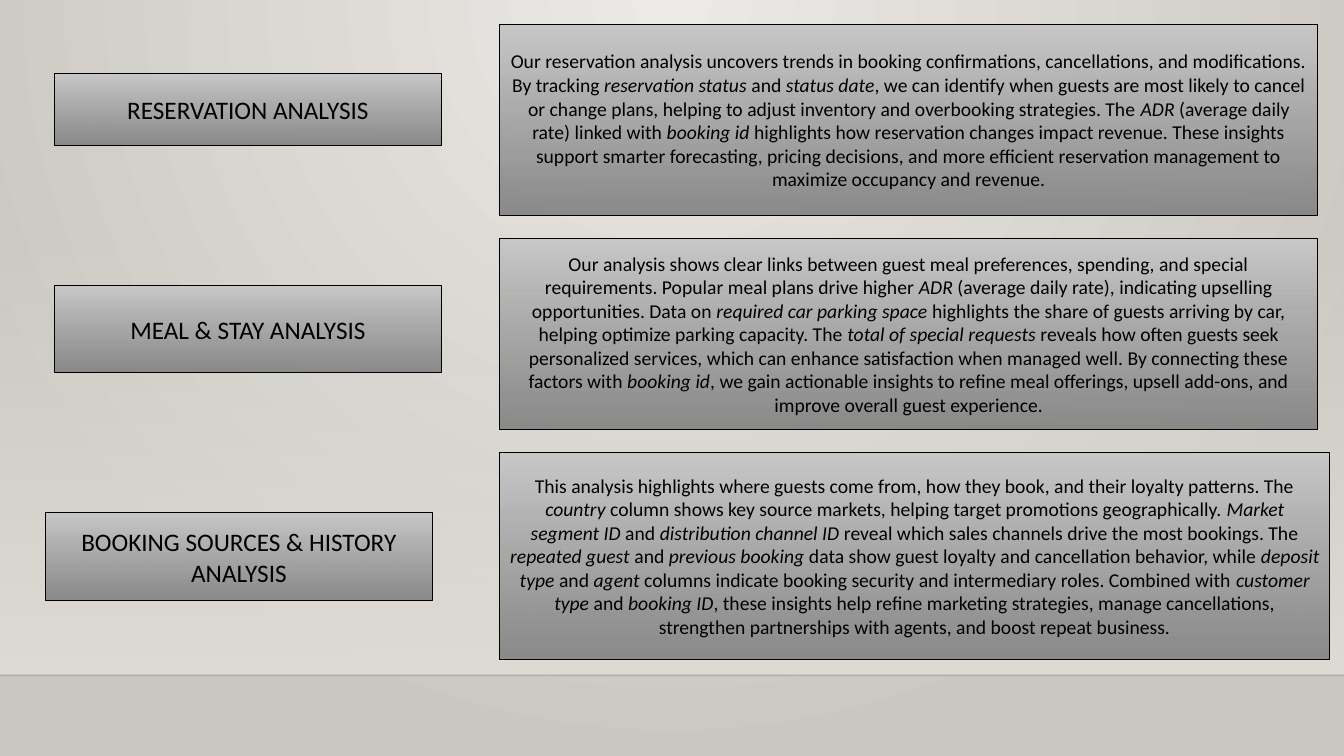
from dataclasses import dataclass

from lxml import etree
from pptx import Presentation
from pptx import util as u
from pptx.dml.color import RGBColor
from pptx.enum import shapes, text
from pptx.oxml.ns import qn


@dataclass(frozen=True)
class Theme:
    font: str = "Calibri"
    label: int = 18
    body: int = 14
    ink: str = "000000"
    edge: float = 0.75
    # Each stop is a colour and its opacity in percent
    card: tuple = (("C8C8C8", 100), ("848484", 92))
    wall: tuple = (("DFDBD5", 0), ("DFDBD5", 100))
    back: tuple = (("ECEAE7", 100), ("CAC7C1", 100))
    floor: tuple = ("000001", 20)


T = Theme()
W, H = u.Inches(13.33), u.Inches(7.5)

# Percent of the slide's width or height
FLOOR = 89.33
TOP, GAP = 3.2, 3.0
LEFT, SPLIT = 4.05, 37.2
LABEL = 28.8

# Title, its left, drop and height; body width and height; body text (*italic*)
ROWS = [
    ("RESERVATION ANALYSIS", LEFT, 6.53, 9.47, 60.84, 25.33,
     "Our reservation analysis uncovers trends in booking confirmations, "
     "cancellations, and modifications. By tracking *reservation status* and "
     "*status date*, we can identify when guests are most likely to cancel or "
     "change plans, helping to adjust inventory and overbooking strategies. The "
     "*ADR* (average daily rate) linked with *booking id* highlights how "
     "reservation changes impact revenue. These insights support smarter "
     "forecasting, pricing decisions, and more efficient reservation management "
     "to maximize occupancy and revenue."),
    ("MEAL & STAY ANALYSIS", LEFT, 6.2, 11.6, 60.84, 25.33,
     "Our analysis shows clear links between guest meal preferences, spending, "
     "and special requirements. Popular meal plans drive higher *ADR* (average "
     "daily rate), indicating upselling opportunities. Data on *required car "
     "parking space* highlights the share of guests arriving by car, helping "
     "optimize parking capacity. The *total of special requests* reveals how "
     "often guests seek personalized services, which can enhance satisfaction "
     "when managed well. By connecting these factors with *booking id*, we gain "
     "actionable insights to refine meal offerings, upsell add-ons, and improve "
     "overall guest experience."),
    ("BOOKING SOURCES & HISTORY ANALYSIS", 3.38, 8.0, 11.6, 61.74, 27.33,
     "This analysis highlights where guests come from, how they book, and their "
     "loyalty patterns. The *country* column shows key source markets, helping "
     "target promotions geographically. *Market segment ID* and *distribution "
     "channel ID* reveal which sales channels drive the most bookings. The "
     "*repeated guest* and *previous booking* data show guest loyalty and "
     "cancellation behavior, while *deposit type* and *agent* columns indicate "
     "booking security and intermediary roles. Combined with *customer type* and "
     "*booking ID*, these insights help refine marketing strategies, manage "
     "cancellations, strengthen partnerships with agents, and boost repeat "
     "business."),
]


def place(x, y, w, h):
    return [round(v * side / 100) for v, side in zip((x, y, w, h), (W, H, W, H))]


def fade(node, alpha):
    """Set the opacity of a colour element."""
    if alpha < 100:
        etree.SubElement(node, qn("a:alpha"), val=str(alpha * 1000))


def blend(fill, root, stops):
    """Fill with a gradient from top to bottom."""
    fill.gradient()
    fill.gradient_angle = 270
    for stop, (tint, _) in zip(fill.gradient_stops, stops):
        stop.color.rgb = RGBColor.from_string(tint)
    grad = next(root.iter(qn("a:gradFill")))
    for node, (_, alpha) in zip(grad.iter(qn("a:srgbClr")), stops):
        fade(node, alpha)
    return grad


def block(slide, box, stops):
    shape = slide.shapes.add_shape(shapes.MSO_SHAPE.RECTANGLE, *place(*box))
    shape.shadow.inherit = False
    blend(shape.fill, shape.element, stops)
    return shape


def card(slide, box, words, size):
    """Outlined grey box with centred text."""
    shape = block(slide, box, T.card)
    shape.line.color.rgb = RGBColor.from_string(T.ink)
    shape.line.width = u.Pt(T.edge)
    frame = shape.text_frame
    frame.word_wrap = True
    frame.vertical_anchor = text.MSO_ANCHOR.MIDDLE
    para = frame.paragraphs[0]
    para.alignment = text.PP_ALIGN.CENTER
    para.font.name, para.font.size = T.font, u.Pt(size)
    para.font.color.rgb = RGBColor.from_string(T.ink)
    for i, part in enumerate(words.split("*")):
        if part:
            run = para.add_run()
            run.text = part
            if i % 2:
                run.font.italic = True


def room(slide):
    """Glow from the top centre, wall haze and floor line."""
    grad = blend(slide.background.fill, slide.element, T.back)
    grad.remove(grad.find(qn("a:lin")))
    glow = etree.SubElement(grad, qn("a:path"), path="circle")
    etree.SubElement(glow, qn("a:fillToRect"),
                     l="43000", t="0", r="43000", b="100000")

    top = 29.47
    block(slide, (0, top, 100, FLOOR - top), T.wall).line.fill.background()

    y = round(FLOOR * H / 100)
    line = slide.shapes.add_connector(shapes.MSO_CONNECTOR.STRAIGHT, 0, y, W, y)
    tint, alpha = T.floor
    line.line.color.rgb = RGBColor.from_string(tint)
    line.line.width = u.Pt(1)
    fade(next(line.element.iter(qn("a:srgbClr"))), alpha)
    etree.SubElement(line.element.spPr, qn("a:effectLst"))


def band(slide, y, row):
    """One topic: label on the left, findings on the right."""
    title, x, drop, tall, wide, high, words = row
    card(slide, (x, y + drop, LABEL, tall), title, T.label)
    card(slide, (SPLIT, y, wide, high), words, T.body)
    return y + high + GAP


def main():
    prs = Presentation()
    prs.slide_width, prs.slide_height = W, H
    slide = prs.slides.add_slide(prs.slide_layouts[6])
    room(slide)
    y = TOP
    for row in ROWS:
        y = band(slide, y, row)
    prs.save("out.pptx")


if __name__ == "__main__":
    main()
